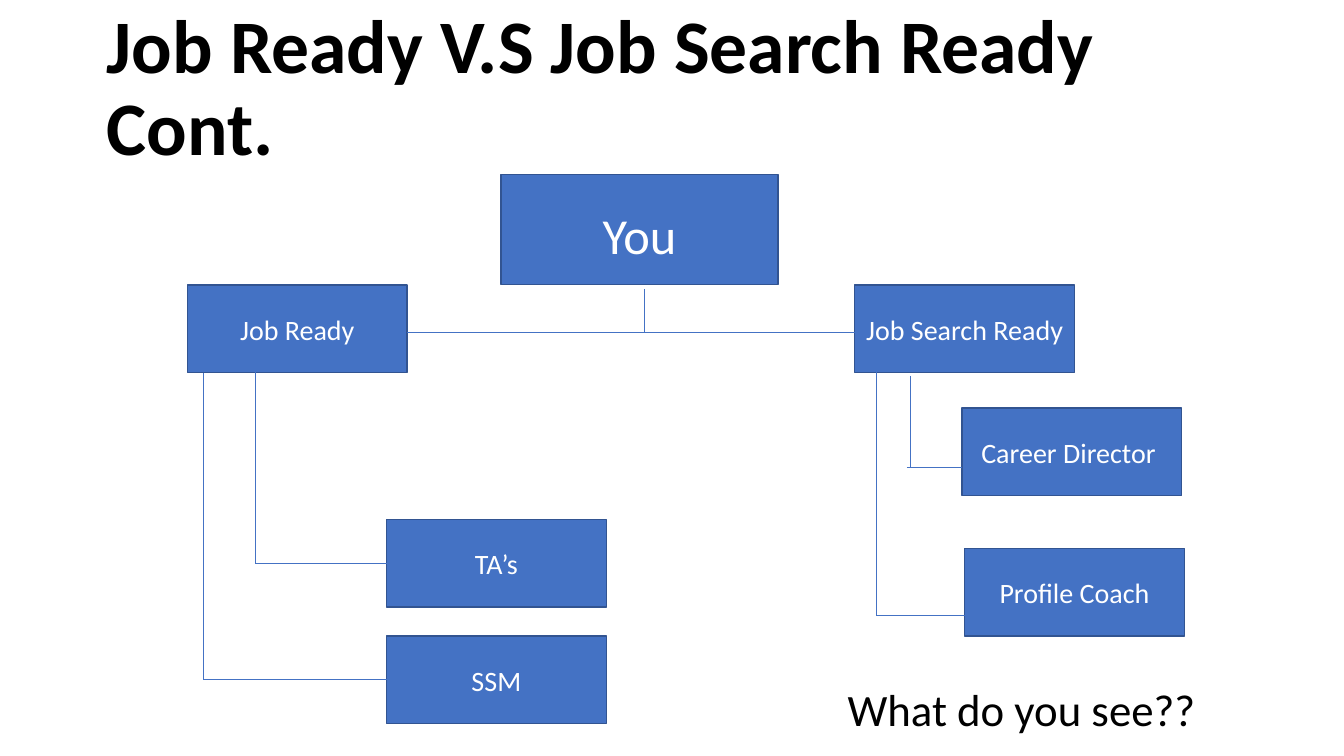
import dataclasses
import typing

import lxml.etree
import pptx
import pptx.dml.color
import pptx.enum.shapes
import pptx.enum.text
import pptx.oxml.ns
import pptx.util

WIDTH, HEIGHT = pptx.util.Inches(13.33), pptx.util.Inches(7.5)
BLUE, EDGE, WHITE, BLACK = "4472C4", "325491", "FFFFFF", "000000"
FONT = "Calibri"
BOX_W, BOX_H = 16.35, 11.6
LEFT = 1
ALIGN = pptx.enum.text.PP_ALIGN
ANCHOR = pptx.enum.text.MSO_ANCHOR


@dataclasses.dataclass
class Box:
    text: str
    x: float
    y: float
    w: float = BOX_W
    h: float = BOX_H
    size: float = 20
    inset: float = 0.05


@dataclasses.dataclass
class Line:
    x1: float
    y1: float
    x2: float
    y2: float
    end: typing.Optional[str] = None


TA_Y, SSM_Y = 68.7, 84.13
TA_MID, SSM_MID = TA_Y + BOX_H / 2, SSM_Y + BOX_H / 2
BRANCH_X, STAFF_X = 63.6, 28.76
DIRECTOR_LEFT, COACH_LEFT = 71.57, 71.78
BRANCH_Y, TRUNK_Y = 37.7, 44
TRUNK_X, TA_X, SSM_X, COACH_X, DIRECTOR_X = 47.93, 18.98, 15.15, 65.22, 67.73
COACH_Y, DIRECTOR_Y = 81.43, 61.87

BOXES = [
    Box("You", 37.27, 23.07, 20.63, 14.58, size=36, inset=0.15),
    Box("Job Ready", 13.95, BRANCH_Y),
    Box("Job Search Ready", BRANCH_X, BRANCH_Y),
    Box("Career Director ", DIRECTOR_LEFT, 53.97),
    Box("Profile Coach", COACH_LEFT, 72.53),
    Box("SSM", STAFF_X, SSM_Y),
    Box("TA’s", STAFF_X, TA_Y),
]

LINES = [
    Line(TRUNK_X, 38.27, TRUNK_X, TRUNK_Y),
    Line(TRUNK_X, TRUNK_Y, 30.3, TRUNK_Y),
    Line(47.63, TRUNK_Y, BRANCH_X, TRUNK_Y),
    Line(COACH_X, 49.2, COACH_X, COACH_Y),
    Line(COACH_X, COACH_Y, COACH_LEFT, COACH_Y),
    Line(TA_X, 49.2, TA_X, TA_MID),
    Line(TA_X, TA_MID, STAFF_X, TA_MID, "TA’s"),
    Line(SSM_X, 49.33, SSM_X, SSM_MID),
    Line(SSM_X, SSM_MID, STAFF_X, SSM_MID, "SSM"),
    Line(DIRECTOR_X, 49.73, DIRECTOR_X, DIRECTOR_Y),
    Line(67.47, DIRECTOR_Y, DIRECTOR_LEFT, DIRECTOR_Y),
]


def across(share: float) -> int:
    return round(WIDTH * share / 100)


def down(share: float) -> int:
    return round(HEIGHT * share / 100)


def place(x: float, y: float, w: float, h: float) -> tuple:
    return across(x), down(y), across(w), down(h)


def rgb(color: str) -> pptx.dml.color.RGBColor:
    return pptx.dml.color.RGBColor.from_string(color)


def write(sp, text: str, *, size: float, color: str, bold: bool = False,
          align=ALIGN.LEFT, anchor=ANCHOR.TOP, inset: float = 0.05,
          spacing: typing.Optional[float] = None) -> None:
    tf = sp.text_frame
    tf.word_wrap = True
    tf.auto_size = pptx.enum.text.MSO_AUTO_SIZE.NONE
    tf.vertical_anchor = anchor
    tf.margin_top = pptx.util.Inches(inset)
    p = tf.paragraphs[0]
    p.alignment = align
    p.line_spacing = spacing
    r = p.add_run()
    r.text = text
    r.font.name = FONT
    r.font.size = pptx.util.Pt(size)
    r.font.bold = bold
    r.font.color.rgb = rgb(color)


def draw_box(s, box: Box):
    sp = s.shapes.add_shape(pptx.enum.shapes.MSO_SHAPE.RECTANGLE,
                            *place(box.x, box.y, box.w, box.h))
    sp.shadow.inherit = False
    sp.fill.solid()
    sp.fill.fore_color.rgb = rgb(BLUE)
    sp.line.color.rgb = rgb(EDGE)
    sp.line.width = pptx.util.Pt(1)
    write(sp, box.text, size=box.size, color=WHITE, inset=box.inset,
          align=ALIGN.CENTER, anchor=ANCHOR.MIDDLE)
    return sp


def draw_line(s, line: Line, boxes: dict) -> None:
    cxn = s.shapes.add_connector(
        pptx.enum.shapes.MSO_CONNECTOR.STRAIGHT,
        across(line.x1), down(line.y1), across(line.x2), down(line.y2))
    cxn.line.color.rgb = rgb(BLUE)
    cxn.line.width = pptx.util.Pt(0.5)
    lxml.etree.SubElement(cxn._element.spPr, pptx.oxml.ns.qn("a:effectLst"))
    if line.end:
        cxn.end_connect(boxes[line.end], LEFT)


def main() -> None:
    prs = pptx.Presentation()
    prs.slide_width, prs.slide_height = WIDTH, HEIGHT
    s = prs.slides.add_slide(prs.slide_layouts[5])
    title = s.shapes.title
    title.left, title.top, title.width, title.height = place(7.2, 2.27, 86.25, 19.33)
    write(title, "Job Ready V.S Job Search Ready Cont.", size=54, color=BLACK,
          bold=True, anchor=ANCHOR.MIDDLE, spacing=0.9)
    boxes = {box.text: draw_box(s, box) for box in BOXES}
    for line in LINES:
        draw_line(s, line, boxes)
    question = s.shapes.add_textbox(*place(62.33, 89.47, 34.88, 8.53))
    write(question, "What do you see??", size=32, color=BLACK)
    prs.save("out.pptx")


if __name__ == "__main__":
    main()
